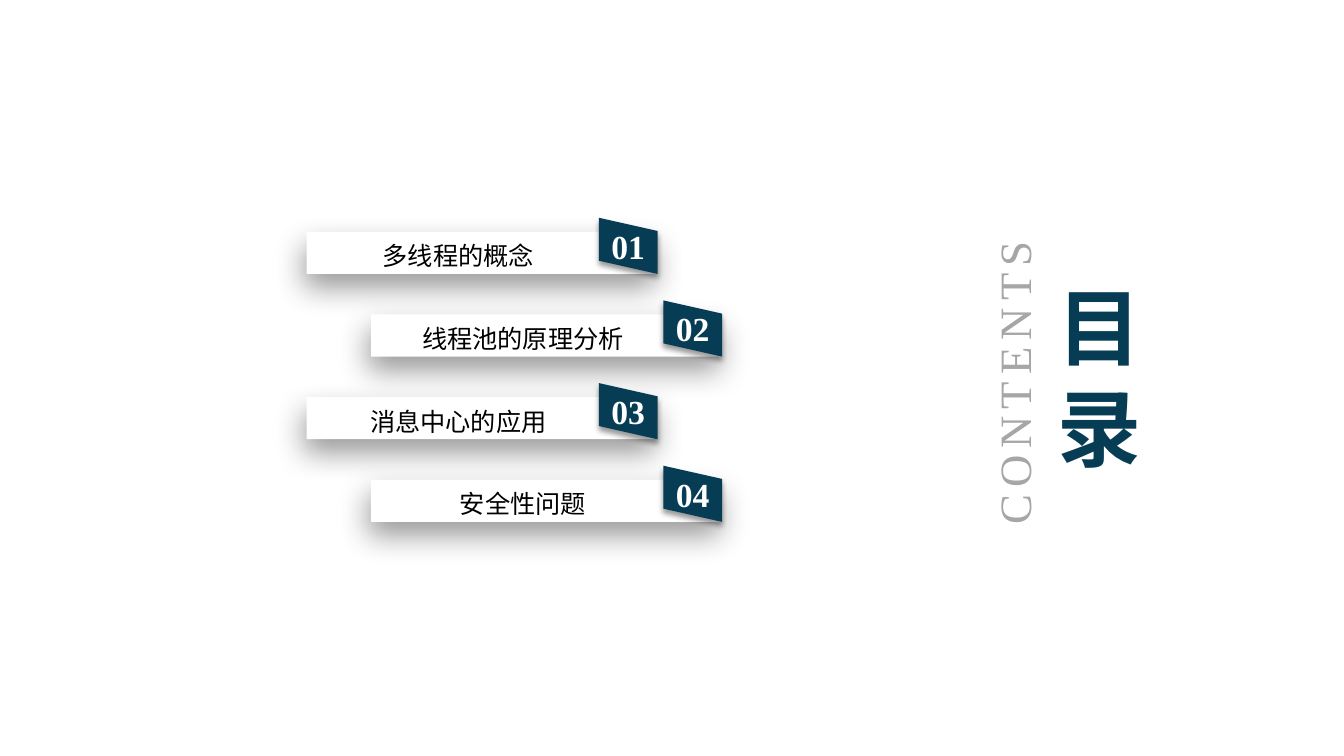
from dataclasses import dataclass

from lxml import etree
from pptx import Presentation, util as u
from pptx.dml.color import RGBColor
from pptx.enum import shapes, text
from pptx.oxml import ns


@dataclass(frozen=True)
class Theme:
    navy: str = "063D54"
    grey: str = "A6A6A6"
    white: str = "FFFFFF"
    black: str = "000000"
    serif: str = "Times New Roman"
    sans: str = "Arial"
    cjk: str = "Noto Sans CJK SC"
    title: int = 60
    subtitle: int = 32
    number: int = 24
    item: int = 18


class ContentsSlide:
    """Places elements on a grid whose origin is the first card."""

    LEFT, TOP, COL, ROW = 3.04, 2.3, 0.64, 0.82  # inches

    def __init__(self, prs, theme):
        self.theme = theme
        self.s = prs.slides.add_slide(prs.slide_layouts[5])

    def box(self, col, row, cols, rows):
        return (u.Inches(self.LEFT + col * self.COL), u.Inches(self.TOP + row * self.ROW),
                u.Inches(cols * self.COL), u.Inches(rows * self.ROW))

    def shadow(self, props, blur, dist, angle):
        """Append an outer shadow; blur and distance in points, angle in degrees."""
        effects = etree.SubElement(props, ns.qn("a:effectLst"))
        outer = etree.SubElement(effects, ns.qn("a:outerShdw"), blurRad=str(u.Pt(blur)),
                                 dist=str(u.Pt(dist)), dir=str(angle * 60000),
                                 algn="t", rotWithShape="0")
        clr = etree.SubElement(outer, ns.qn("a:srgbClr"), val=self.theme.black)
        etree.SubElement(clr, ns.qn("a:alpha"), val="40000")

    def paint(self, sp, color, *shadow):
        sp.fill.solid()
        sp.fill.fore_color.rgb = RGBColor.from_string(color)
        sp.line.fill.background()
        self.shadow(sp._element.spPr, *shadow)

    def label(self, sp, words, size, font, color, bold=False,
              align=text.PP_ALIGN.CENTER, shadow=None):
        tf = sp.text_frame
        tf.vertical_anchor = text.MSO_ANCHOR.MIDDLE
        tf.word_wrap = True
        p = tf.paragraphs[0]
        p.alignment = align
        r = p.add_run()
        r.text = words
        p.font.size, p.font.name, p.font.bold = u.Pt(size), font, bold
        p.font.color.rgb = RGBColor.from_string(color)
        rpr = r._r.get_or_add_rPr()
        if shadow:
            self.shadow(rpr, *shadow)
        etree.SubElement(rpr, ns.qn("a:ea"), typeface=self.theme.cjk)
        return p, rpr

    def card(self, col, row, words):
        t = self.theme
        sp = self.s.shapes.add_shape(shapes.MSO_SHAPE.RECTANGLE, *self.box(col, row, 5.44, 0.51))
        self.paint(sp, t.white, 22, 10, 101)
        p, _ = self.label(sp, words, t.item, t.sans, t.black)
        p.line_spacing = 1.2
        tf = sp.text_frame
        tf.margin_left, tf.margin_right = u.Inches(0.12), u.Inches(0.59)
        tf.margin_top = tf.margin_bottom = 0

    def tag(self, col, row, words):
        """Numbered parallelogram whose top and bottom edges slope down."""
        t = self.theme
        x, y, w, h = self.box(col, row, 0.91, 0.68)
        slope = u.Inches(0.16 * self.ROW)
        fb = self.s.shapes.build_freeform(x, y)
        fb.add_line_segments([(x, y + h - slope), (x + w, y + h), (x + w, y + slope)])
        sp = fb.convert_to_shape()
        self.paint(sp, t.navy, 4, 3, 90)
        self.label(sp, words, t.number, t.serif, t.white, bold=True)

    def title(self, col, row, words):
        t = self.theme
        sp = self.s.shapes.title
        sp.left, sp.top, sp.width, sp.height = self.box(col, row, 0.95, 1.6)
        self.label(sp, words, t.title, t.cjk, t.navy, bold=True,
                   align=text.PP_ALIGN.LEFT, shadow=(3, 3, 45))
        sp.text_frame.auto_size = text.MSO_AUTO_SIZE.NONE

    def side_label(self, col, row, words):
        t = self.theme
        sp = self.s.shapes.add_textbox(*self.box(col, row, 5.9, 0.8))
        sp.rotation = 270
        _, rpr = self.label(sp, words, t.subtitle, t.serif, t.grey)
        sp.text_frame.word_wrap = False
        rpr.set("spc", "500")


def main():
    prs = Presentation()
    prs.slide_width, prs.slide_height = u.Inches(13.33), u.Inches(7.5)
    contents = ContentsSlide(prs, Theme())
    topics = ["多线程的概念", "线程池的原理分析", "消息中心的应用", "安全性问题"]
    for row, topic in enumerate(topics):
        col = row % 2
        contents.card(col, row, topic)
        contents.tag(col + 4.53, row - 0.17, f"{row + 1:02}")
    contents.side_label(8, 1.43, "CONTENTS")
    contents.title(11.48, 0.95, "目录")
    prs.save("out.pptx")


if __name__ == "__main__":
    main()
